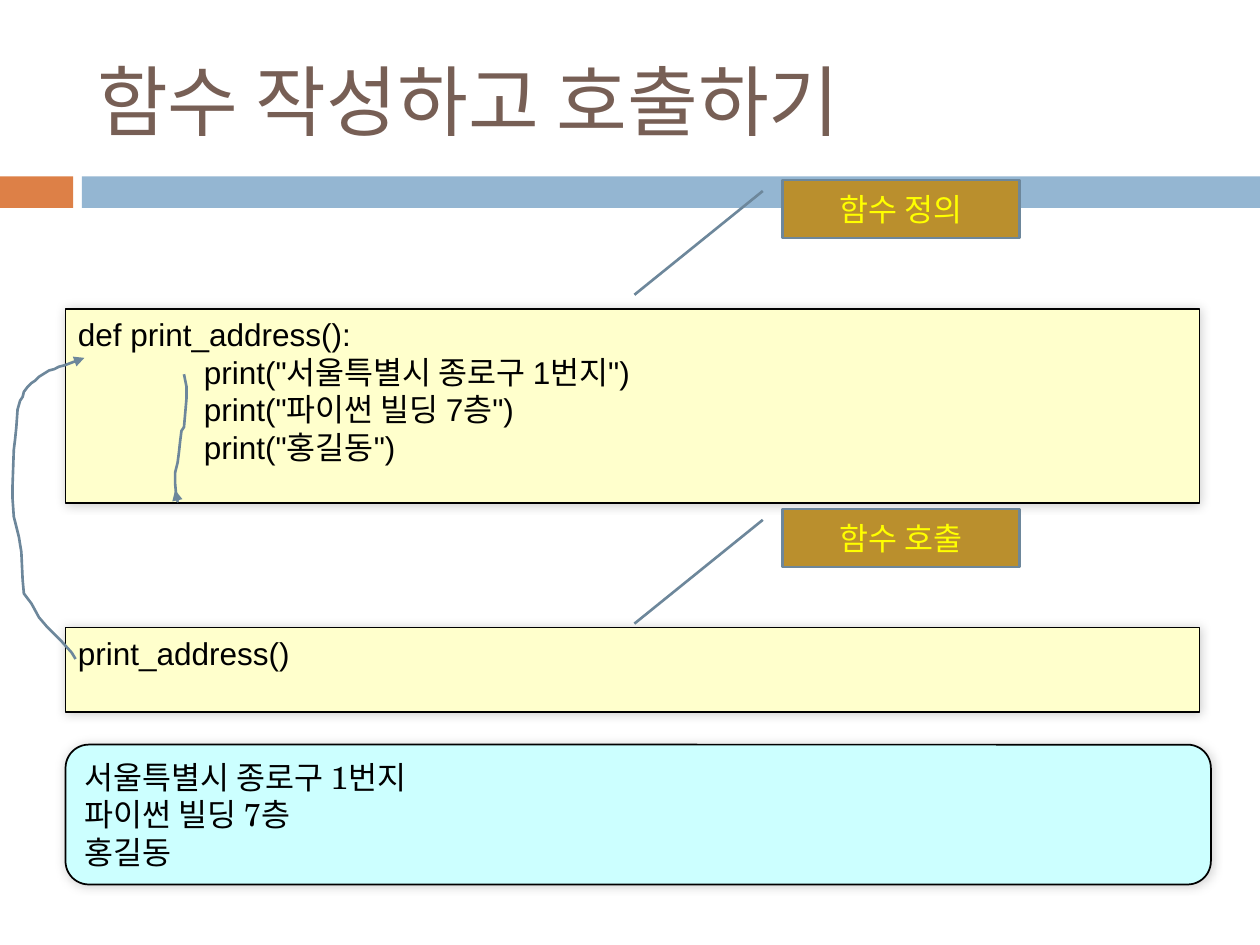
from lxml import etree
from pptx import Presentation
from pptx.dml.color import RGBColor
from pptx.enum.shapes import MSO_SHAPE
from pptx.enum.text import MSO_ANCHOR, PP_ALIGN
from pptx.oxml.ns import qn
from pptx.util import Inches, Pt

RECT = MSO_SHAPE.RECTANGLE
ROUND = MSO_SHAPE.FLOWCHART_ALTERNATE_PROCESS
CALLOUT = MSO_SHAPE.LINE_CALLOUT_1
LEFT, CENTER = PP_ALIGN.LEFT, PP_ALIGN.CENTER
TOP, MIDDLE = MSO_ANCHOR.TOP, MSO_ANCHOR.MIDDLE

KOREAN = "Noto Sans CJK KR"
COLORS = {
    "orange": "DD8047", "blue": "94B6D2", "title": "775F55",
    "code": "FFFFCC", "output": "CCFFFF", "label": "BA8F2D",
    "yellow": "FFFF00", "steel": "6D879B", "black": "000000",
}

# Points in hundredths of an inch, from tail to head
CALL_PATH = [
    (60, 523), (57, 518), (48, 508), (37, 497), (31, 490), (25, 479),
    (19, 471), (18, 460), (17, 438), (15, 426), (13, 418), (11, 410),
    (10, 396), (10, 385), (11, 357), (12, 349), (13, 339), (14, 325),
    (16, 318), (18, 315), (19, 311), (22, 307), (25, 304), (28, 302),
    (31, 299), (39, 294), (43, 293), (47, 291), (51, 290), (59, 287),
    (67, 284),
]
RUN_PATH = [
    (146, 297), (148, 307), (148, 316), (146, 339), (144, 342), (143, 350),
    (142, 359), (141, 367), (139, 375), (139, 384), (140, 395), (141, 398),
    (139, 389),
]


def color(name):
    return RGBColor.from_string(COLORS[name])


def add_box(slide, kind, box, fill, line=None, width=1):
    shape = slide.shapes.add_shape(kind, *map(Inches, box))
    shape.shadow.inherit = False
    shape.fill.solid()
    shape.fill.fore_color.rgb = color(fill)
    if line:
        shape.line.color.rgb = color(line)
        shape.line.width = Pt(width)
    else:
        shape.line.fill.background()
    return shape


def set_text(shape, text, font, size, ink, align=LEFT, anchor=TOP):
    frame = shape.text_frame
    frame.text = text
    frame.word_wrap = True
    frame.vertical_anchor = anchor
    for para in frame.paragraphs:
        para.alignment = align
        for run in para.runs:
            run.font.name = font
            run.font.size = Pt(size)
            run.font.color.rgb = color(ink)
            east = etree.SubElement(run.font._element, qn("a:ea"))
            east.set("typeface", KOREAN)


def add_glow(shape):
    """Give the shape a soft, faint shadow."""
    effects = shape._element.spPr.find(qn("a:effectLst"))
    glow = etree.SubElement(effects, qn("a:outerShdw"), blurRad=str(Pt(6)),
                            dist="0", dir="18900000")
    ink = etree.SubElement(glow, qn("a:srgbClr"), val=COLORS["black"])
    etree.SubElement(ink, qn("a:alpha"), val="20000")


def add_title(slide, box, text):
    title = slide.shapes.title
    title.left, title.top, title.width, title.height = map(Inches, box)
    set_text(title, text, "Calibri", 44, "title", anchor=MIDDLE)


def add_band(slide, top, height):
    add_box(slide, RECT, (0, top, 0.58, height), "orange")
    add_box(slide, RECT, (0.65, top, 9.35, height), "blue")


def add_panel(slide, kind, box, fill, text, font):
    panel = add_box(slide, kind, box, fill, "black")
    add_glow(panel)
    set_text(panel, text, font, 18, "black")
    for para in panel.text_frame.paragraphs:
        if para.text.startswith("\t"):
            tabs = etree.SubElement(para._p.get_or_add_pPr(), qn("a:tabLst"))
            etree.SubElement(tabs, qn("a:tab"), pos=str(Inches(1)), algn="l")


def add_label(slide, left, top, text):
    label = add_box(slide, CALLOUT, (left, top, 1.88, 0.46),
                    "label", "steel", 1.5)
    for i, value in enumerate((0.188, -0.083, 1.979, -0.625)):
        label.adjustments[i] = value
    set_text(label, text, KOREAN, 18, "yellow", CENTER, MIDDLE)


def add_arrow(slide, points):
    """Draw an open curve through the points, with a head at its end."""
    pen = slide.shapes.build_freeform(*points[0], scale=Inches(0.01))
    pen.add_line_segments(points[1:], close=False)
    arrow = pen.convert_to_shape()
    arrow.shadow.inherit = False
    arrow.fill.background()
    arrow.line.color.rgb = color("steel")
    arrow.line.width = Pt(1.5)
    etree.SubElement(arrow.line._get_or_add_ln(), qn("a:tailEnd"),
                     type="triangle")


def main():
    deck = Presentation()
    deck.slide_width, deck.slide_height = Inches(10), Inches(7.5)
    slide = deck.slides.add_slide(deck.slide_layouts[5])

    add_band(slide, 1.4, 0.25)
    add_title(slide, (0.67, 0.25, 8.92, 1.08), "함수 작성하고 호출하기")

    lines = ["서울특별시 종로구 1번지", "파이썬 빌딩 7층", "홍길동"]
    code = ["def print_address():"] + [f'\tprint("{line}")' for line in lines]
    add_panel(slide, RECT, (0.52, 2.45, 9, 1.54), "code",
              "\n".join(code), "Arial")
    add_panel(slide, RECT, (0.52, 4.98, 9, 0.67), "code",
              "print_address()", "Arial")
    add_arrow(slide, CALL_PATH)
    add_arrow(slide, RUN_PATH)
    add_panel(slide, ROUND, (0.52, 5.91, 9.09, 1.11), "output",
              "\n".join(lines), "TeX Gyre Schola")

    add_label(slide, 6.21, 1.43, "함수 정의")
    add_label(slide, 6.21, 4.04, "함수 호출")
    deck.save("out.pptx")


if __name__ == "__main__":
    main()
